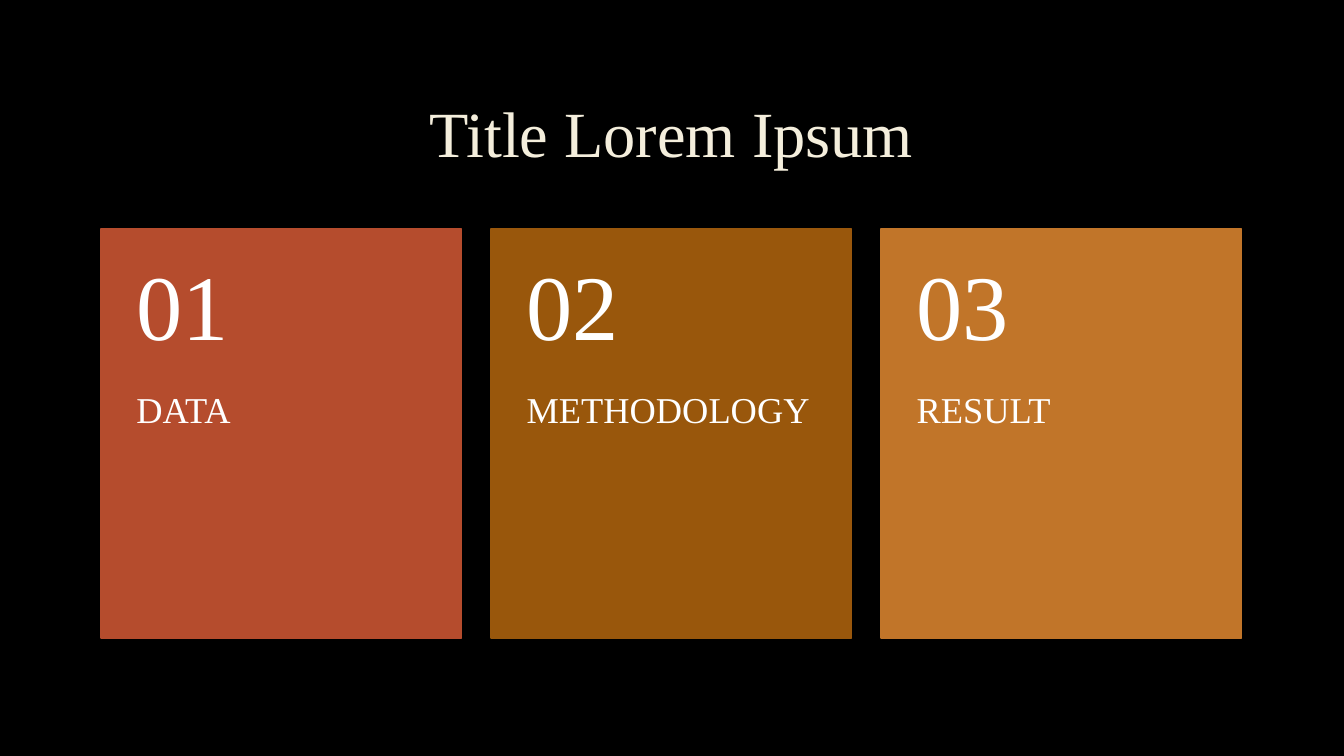
"""Build a title slide with three numbered cards."""
from dataclasses import dataclass

from pptx import Presentation
from pptx.dml.color import RGBColor as Rgb
from pptx.enum import shapes, text
from pptx.util import Cm, Pt


@dataclass(frozen=True)
class Theme:
    """Hold the colours, font and type sizes."""
    face: str = "Times New Roman"
    back: str = "000000"
    cream: str = "F4EEDC"
    white: str = "FFFFFF"
    fills: tuple = ("B54C2D", "99570C", "C17529")
    head: int = 46
    count: int = 66
    label: int = 26
    edge: float = 1.25


THEME = Theme()
CARDS = (("01", "DATA"), ("02", "METHODOLOGY"), ("03", "RESULT"))
LEFT, TOP = Cm(2.54), Cm(5.77)
WIDE, HIGH = Cm(9.09), Cm(10.31)
STEP, SPLIT = Cm(9.83), Cm(4.12)
PAD, INSET = Cm(0.9), Cm(0.46)


def assign(item, values):
    """Set attributes from a dict of format values."""
    for name, value in values.items():
        setattr(item, name, value)


def write(shape, words, size, color, align, frame):
    """Fill a shape with one formatted line of text."""
    body = shape.text_frame
    assign(body, {"text": words, "word_wrap": True,
                  "auto_size": text.MSO_AUTO_SIZE.NONE, **frame})
    para = body.paragraphs[0]
    assign(para, {"alignment": align, "line_spacing": 0.9})
    font = para.runs[0].font
    assign(font, {"name": THEME.face, "size": Pt(size), "bold": False})
    font.color.rgb = Rgb.from_string(color)


def add_title(slide, words):
    """Place and format the title."""
    title = slide.shapes.title
    assign(title, {"left": LEFT, "top": Cm(1.7),
                   "width": Cm(28.75), "height": Cm(3.5)})
    write(title, words, THEME.head, THEME.cream, text.PP_ALIGN.CENTER,
          {"vertical_anchor": text.MSO_ANCHOR.MIDDLE})


def add_panel(group, left, fill):
    """Draw the coloured panel of a card."""
    panel = group.shapes.add_shape(
        shapes.MSO_SHAPE.RECTANGLE, left, TOP, WIDE, HIGH)
    panel.shadow.inherit = False
    color = Rgb.from_string(fill)
    for paint in (panel.fill, panel.line.fill):
        paint.solid()
        paint.fore_color.rgb = color
    panel.line.width = Pt(THEME.edge)


def add_label(group, box, words, size, frame):
    """Add a left-aligned line of text to a card."""
    label = group.shapes.add_textbox(*box)
    write(label, words, size, THEME.white, text.PP_ALIGN.LEFT,
          {"margin_left": PAD, "margin_right": PAD, **frame})


def add_card(slide, left, fill, count, label):
    """Group a panel with its number and label."""
    group = slide.shapes.add_group_shape()
    add_panel(group, left, fill)
    add_label(group, (left, TOP + SPLIT, WIDE, HIGH - SPLIT), label,
              THEME.label, {"vertical_anchor": text.MSO_ANCHOR.TOP,
                            "margin_top": 0, "margin_bottom": PAD})
    add_label(group, (left, TOP, WIDE, SPLIT), count,
              THEME.count, {"vertical_anchor": text.MSO_ANCHOR.MIDDLE,
                            "margin_top": INSET, "margin_bottom": INSET})


def main():
    """Build and save the slide."""
    deck = Presentation()
    assign(deck, {"slide_width": Cm(33.87), "slide_height": Cm(19.05)})
    slide = deck.slides.add_slide(deck.slide_layouts.get_by_name("Title Only"))
    slide.background.fill.solid()
    slide.background.fill.fore_color.rgb = Rgb.from_string(THEME.back)
    add_title(slide, "Title Lorem Ipsum")
    for col, (fill, card) in enumerate(zip(THEME.fills, CARDS)):
        add_card(slide, LEFT + col * STEP, fill, *card)
    deck.save("out.pptx")


if __name__ == "__main__":
    main()
